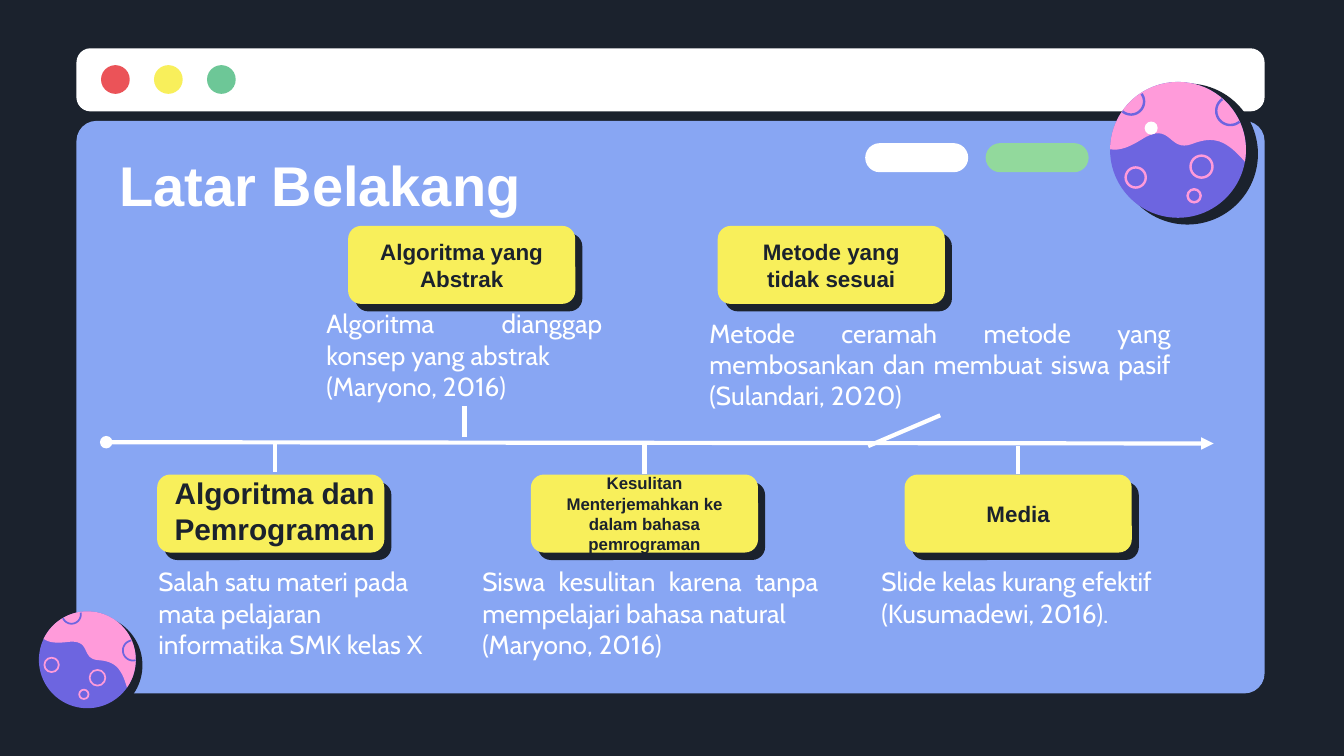
"""Build the Latar Belakang timeline slide."""
from math import cos, radians, sin

from lxml.etree import SubElement
from pptx import Presentation
from pptx.dml.color import RGBColor
from pptx.enum.shapes import MSO_CONNECTOR, MSO_SHAPE
from pptx.enum.text import MSO_ANCHOR, PP_ALIGN
from pptx.oxml.ns import qn
from pptx.util import Pt

DARK, WHITE, YELLOW, BLUE = "1B222D", "FFFFFF", "F8EF5B", "88A6F3"
PURPLE, PINK = "6D65E0", "FF9BDA"
LEFT, CENTER, JUSTIFY = PP_ALIGN.LEFT, PP_ALIGN.CENTER, PP_ALIGN.JUSTIFY

PANELS = [
    (41, 64.8, 636.5, 306.7, 0.035, BLUE),
    (41, 25.9, 636.5, 33.8, 0.223, WHITE),
    (463.5, 76.7, 55.2, 15.6, 0.5, WHITE),
    (528, 76.7, 55.2, 15.6, 0.5, "92D99C"),
]
WINDOW_DOTS = ["EB5358", YELLOW, "6DC797"]

CARD_WIDTH, CARD_HEIGHT, BODY_HEIGHT = 121.7, 41.8, 59.8
UPPER_ROW, LOWER_ROW, LOWER_BODY = 121, 254.2, 295.9
AXIS = (56.9, 236.9, 650.2, 237.6)
TOPICS = [
    dict(card=(84.2, LOWER_ROW), heading="Algoritma dan Pemrograman", size=16,
         heading_box=(55.4, 252.7, 183.6), body_box=(77.8, LOWER_BODY, 169.9),
         body=["Salah satu materi pada mata pelajaran informatika SMK kelas X"],
         align=LEFT, stem=(147.2, 236.2)),
    dict(card=(284.4, LOWER_ROW), size=9,
         heading="Kesulitan Menterjemahkan ke dalam bahasa pemrograman",
         body_box=(251.3, LOWER_BODY, 194.4),
         body=["Siswa kesulitan karena tanpa mempelajari bahasa natural", "(Maryono, 2016)"],
         align=JUSTIFY, stem=(345.25, 237.6)),
    dict(card=(484.6, LOWER_ROW), heading="Media", size=12,
         body_box=(465.1, LOWER_BODY, 183.6),
         body=["Slide kelas kurang efektif (Kusumadewi, 2016)."],
         align=LEFT, stem=(545.45, 239)),
    dict(card=(186.5, UPPER_ROW), heading="Algoritma yang Abstrak", size=12,
         body_box=(167.8, 157.7, 162),
         body=["Algoritma dianggap konsep yang abstrak", "(Maryono, 2016)"],
         align=JUSTIFY, stem=(248.8, 234)),
    dict(card=(384.5, UPPER_ROW), heading="Metode yang tidak sesuai", size=12,
         body_box=(373, 162.7, 261.4),
         body=["Metode ceramah metode yang membosankan dan membuat siswa pasif (Sulandari, 2020)"],
         align=JUSTIFY, stem=(465.1, 239)),
]

PLANETS = [(631.1, 80.3, 1, 0), (46.8, 353.5, 0.713, 25)]
PLANET_RADIUS = 36.4
WAVE = [
    ((35.6, 6.1), (25.6, -5.4), (19.1, -7.6), (7.6, -3.2)),
    ((7.6, -3.2), (-5.4, 1.8), (-3.2, -16.2), (-19.8, -5.4)),
    ((-19.8, -5.4), (-27.7, -0.4), (-32.8, 0.4), (-36.4, -0.4)),
]
RIM_CRATERS = [(-25.2, -25.9, 7, -36, 131), (28.1, -20.9, 7.6, 50, 235)]
CRATERS = [(-22.7, 14.8, 5.4), (12.6, 9, 5.9), (8.6, 24.6, 3.5)]

deck = Presentation()
deck.slide_width, deck.slide_height = Pt(720), Pt(405)
page = deck.slides.add_slide(deck.slide_layouts[6])
page.background.fill.solid()


def color(code):
    return RGBColor.from_string(code)


def paint(shape, fill=None, line=None, width=1.2):
    shape.shadow.inherit = False
    if fill:
        shape.fill.solid()
        shape.fill.fore_color.rgb = color(fill)
    else:
        shape.fill.background()
    if line:
        shape.line.color.rgb = color(line)
        shape.line.width = Pt(width)
    else:
        shape.line.fill.background()


def add_panel(left, top, width, height, corner, fill):
    panel = page.shapes.add_shape(
        MSO_SHAPE.ROUNDED_RECTANGLE, Pt(left), Pt(top), Pt(width), Pt(height))
    panel.adjustments[0] = corner
    paint(panel, fill)


def add_circle(x, y, radius, **look):
    circle = page.shapes.add_shape(
        MSO_SHAPE.OVAL, Pt(x - radius), Pt(y - radius), Pt(2 * radius), Pt(2 * radius))
    paint(circle, **look)


def add_outline(points, close, **look):
    corners = [(Pt(x), Pt(y)) for x, y in points]
    builder = page.shapes.build_freeform(*corners[0])
    builder.add_line_segments(corners[1:], close=close)
    paint(builder.convert_to_shape(), **look)


def add_text(text, box, size=14, font="Cabin", fill=WHITE, bold=False,
             align=LEFT, anchor=MSO_ANCHOR.TOP):
    text_box = page.shapes.add_textbox(*[Pt(length) for length in box])
    frame = text_box.text_frame
    frame.word_wrap, frame.vertical_anchor = True, anchor
    frame.margin_left = frame.margin_right = Pt(7.2)
    frame.margin_top = frame.margin_bottom = Pt(7.2)
    frame.text = text
    for para in frame.paragraphs:
        para.alignment = align
        for span in para.runs:
            span.font.name, span.font.size, span.font.bold = font, Pt(size), bold
            span.font.color.rgb = color(fill)
    return text_box


def add_line(start_x, start_y, end_x, end_y):
    line = page.shapes.add_connector(
        MSO_CONNECTOR.STRAIGHT, Pt(start_x), Pt(start_y), Pt(end_x), Pt(end_y))
    line.line.color.rgb = color(WHITE)
    line.line.width = Pt(2.25)
    SubElement(line._element.spPr, qn("a:effectLst"))
    return line


def arc(x, y, radius, first, last, steps=40):
    angles = [radians(first + (last - first) * step / steps) for step in range(steps + 1)]
    return [(x + radius * cos(angle), y + radius * sin(angle)) for angle in angles]


def curve(start, control_1, control_2, end, steps=16):
    points = []
    for step in range(1, steps + 1):
        t = step / steps
        weights = ((1 - t) ** 3, 3 * t * (1 - t) ** 2, 3 * t * t * (1 - t), t ** 3)
        points.append(tuple(
            sum(weight * value for weight, value in zip(weights, values))
            for values in zip(start, control_1, control_2, end)))
    return points


def add_planet(center_x, center_y, scale, angle):
    cosine, sine = scale * cos(radians(angle)), scale * sin(radians(angle))

    def place(x, y):
        return center_x + x * cosine - y * sine, center_y + x * sine + y * cosine

    add_circle(*place(5, 2.2), 37.8 * scale, fill=DARK)
    add_circle(center_x, center_y, PLANET_RADIUS * scale, fill=PURPLE)
    cap = arc(0, 0, PLANET_RADIUS, 180, 370)
    for segment in WAVE:
        cap += curve(*segment)
    add_outline([place(*point) for point in cap], True, fill=PINK)
    for crater in RIM_CRATERS:
        add_outline([place(*point) for point in arc(*crater)], False,
                    line=PURPLE, width=1.3 * scale)
    for x, y, radius in CRATERS:
        add_circle(*place(x, y), radius * scale, line=PINK, width=1.3 * scale)


page.background.fill.fore_color.rgb = color(DARK)
for panel_values in PANELS:
    add_panel(*panel_values)
for index, dot_color in enumerate(WINDOW_DOTS):
    add_circle(61.8 + 28.4 * index, 42.6, 7.7, fill=dot_color)
for planet_values in PLANETS:
    add_planet(*planet_values)
add_circle(616.7, 68.6, 3.5, fill=WHITE)

add_text("Latar Belakang", (56.9, 76.3, 607, 44.6), size=30, font="Arial",
         bold=True, anchor=MSO_ANCHOR.MIDDLE)
axis = add_line(*AXIS)
axis_outline = axis.line._get_or_add_ln()
SubElement(axis_outline, qn("a:headEnd"), type="oval")
SubElement(axis_outline, qn("a:tailEnd"), type="triangle")

for topic in TOPICS:
    left, top = topic["card"]
    add_panel(left + 3.8, top + 4, CARD_WIDTH, CARD_HEIGHT, 0.167, DARK)
    add_panel(left, top, CARD_WIDTH, CARD_HEIGHT, 0.167, YELLOW)
    heading_box = topic.get("heading_box", (left + 7.2, top, CARD_WIDTH - 14.4))
    heading = add_text(topic["heading"], (*heading_box, CARD_HEIGHT), size=topic["size"],
                       font="Arial", fill=DARK, bold=True, align=CENTER,
                       anchor=MSO_ANCHOR.MIDDLE)
    body = add_text("\n".join(topic["body"]), (*topic["body_box"], BODY_HEIGHT),
                    align=topic["align"])
    stem = add_line(*topic["stem"], *topic["stem"])
    if top == LOWER_ROW:
        stem.begin_connect(heading, 0)
    else:
        stem.begin_connect(body, 2)

deck.save("out.pptx")
